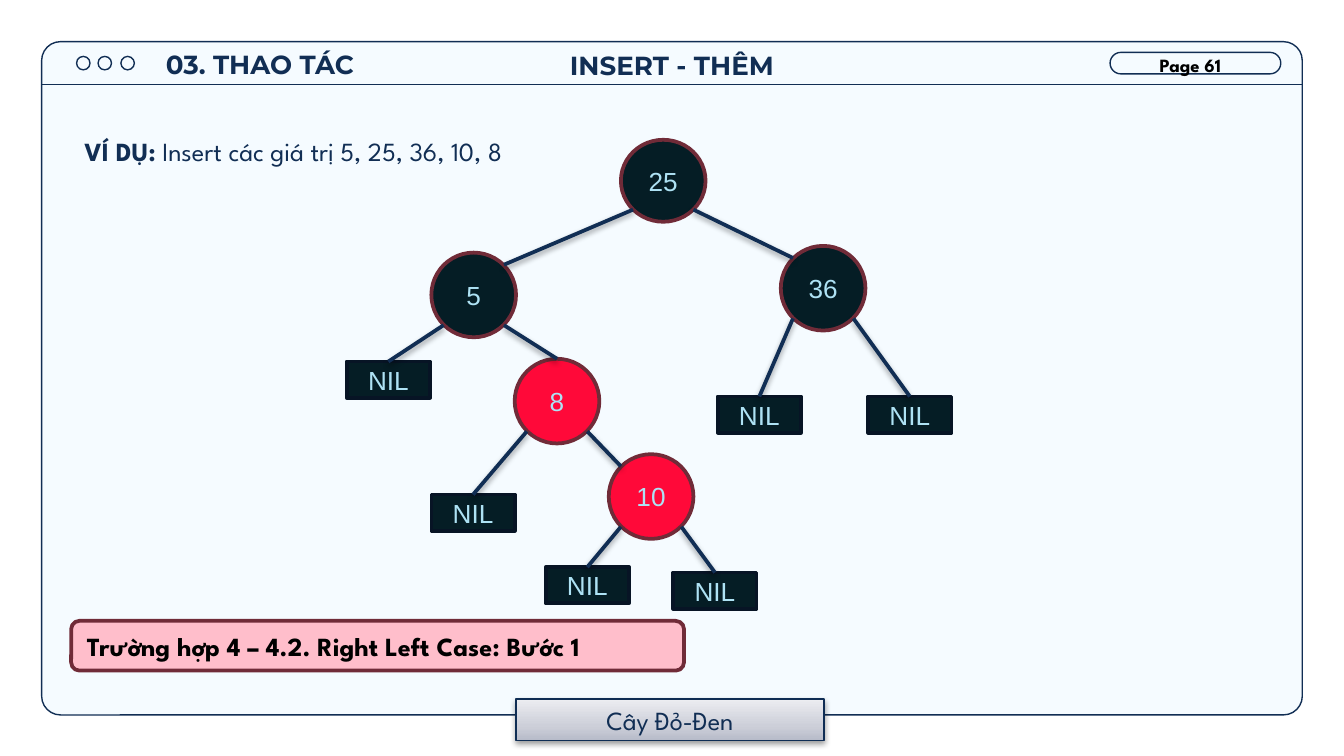
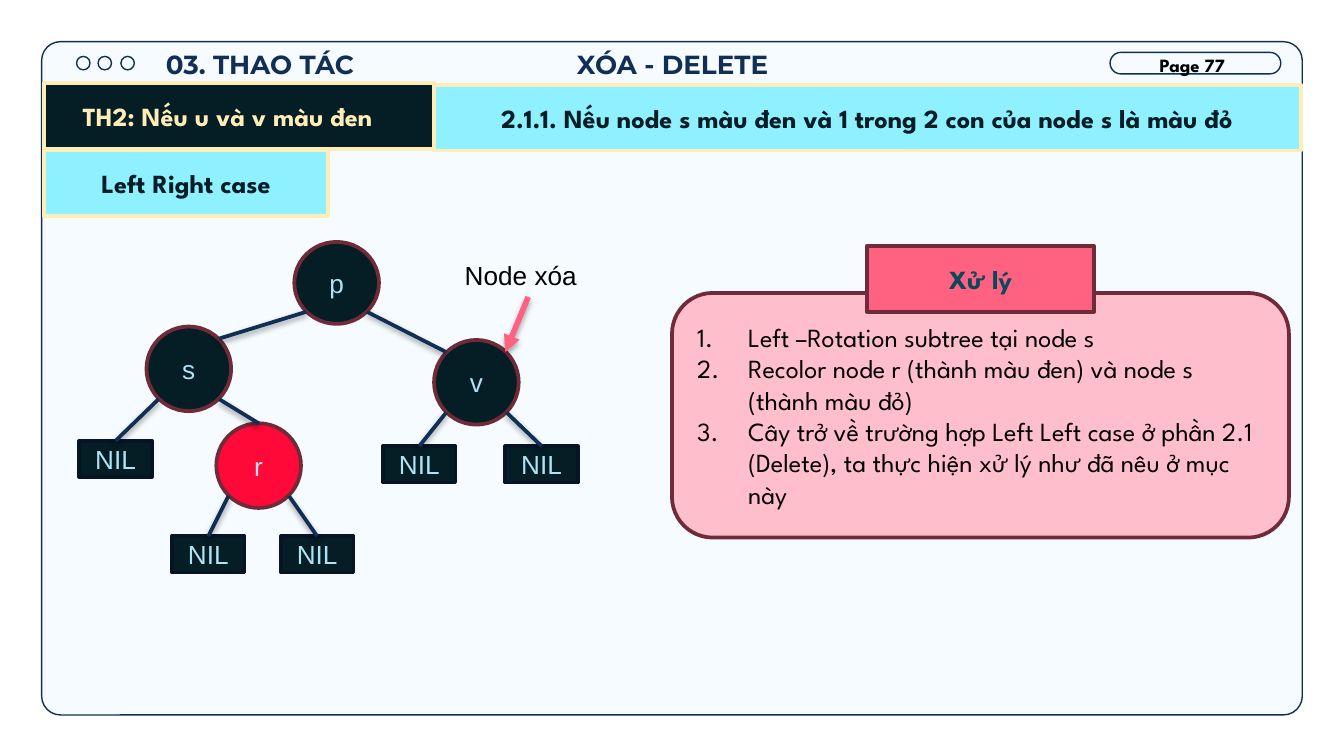
from copy import deepcopy
from math import sqrt

from lxml import etree
from pptx import Presentation
from pptx.dml.color import RGBColor
from pptx.enum.shapes import MSO_CONNECTOR, MSO_SHAPE
from pptx.enum.text import MSO_ANCHOR, PP_ALIGN
from pptx.oxml.ns import qn
from pptx.util import Emu, Pt

PX = 9144
SLIDE_WIDTH = 1000

RECT = MSO_SHAPE.RECTANGLE
ROUND_RECT = MSO_SHAPE.ROUNDED_RECTANGLE
OVAL = MSO_SHAPE.OVAL
NODE_SHAPE = MSO_SHAPE.FLOWCHART_CONNECTOR
STRAIGHT = MSO_CONNECTOR.STRAIGHT
LEFT, CENTER = PP_ALIGN.LEFT, PP_ALIGN.CENTER
TOP, MIDDLE = MSO_ANCHOR.TOP, MSO_ANCHOR.MIDDLE

NAVY = RGBColor(0x11, 0x2E, 0x54)
FOOTER_LINE = RGBColor(0x0F, 0x2D, 0x54)
PALE = RGBColor(0xF5, 0xFB, 0xFF)
INK = RGBColor(0x05, 0x1D, 0x25)
LEAF_LINE = RGBColor(0x07, 0x14, 0x25)
NODE_TEXT = RGBColor(0xAE, 0xE2, 0xF4)
MAROON = RGBColor(0x70, 0x2B, 0x38)
RED = RGBColor(0xFF, 0x09, 0x39)
PINK = RGBColor(0xFF, 0xBE, 0xCB)
ROSE = RGBColor(0xFF, 0x61, 0x80)
CREAM = RGBColor(0xFF, 0xED, 0xB8)
CYAN = RGBColor(0x8F, 0xF0, 0xFF)
TEAL = RGBColor(0x0C, 0x48, 0x5C)
BLACK = RGBColor(0, 0, 0)
FOOTER_STOPS = [
    (0, RGBColor(0xB7, 0xBB, 0xC9)),
    (0.35, RGBColor(0xCD, 0xCF, 0xD9)),
    (1, RGBColor(0xEC, 0xED, 0xF1)),
]

BODY, HEADING, LABEL = "League Spartan", "Montserrat", "Arial"
NODE_WIDTH, LEAF_HEIGHT = 63, 27

SECTION = "03. THAO TÁC"
INSERT_TITLE = ("INSERT - THÊM", (305, 27, 390, 38))
DELETE_TITLE = ("XÓA - DELETE", (79, 26, 843, 39))
EXAMPLE = [("VÍ DỤ:", True), (" Insert các giá trị 5, 25, 36, 10, 8", False)]
FOOTER = "Cây Đỏ-Đen"
CASE = "Trường hợp 4 – 4.2. Right Left Case: Bước 1"
BANNERS = [
    ("TH2: Nếu u và v màu đen", (33, 62, 290, 49), INK, CREAM, 17),
    ("2.1.1. Nếu node s màu đen và 1 trong 2 con của node s là màu đỏ",
     (323, 63, 645, 49), CYAN, INK, 0),
    ("Left Right case", (33, 112, 211, 49), CYAN, INK, 0),
]
HANDLING = "Xử lý"
STEPS = [
    "Left –Rotation subtree tại node s",
    "Recolor node r (thành màu đen) và node s (thành màu đỏ)",
    "Cây trở về trường hợp Left Left case ở phần 2.1 (Delete), "
    "ta thực hiện xử lý như đã nêu ở mục này",
]

INSERT_TREE = {
    "leaf_width": 62,
    "nodes": [
        ("25", 462, 104, 61, INK),
        ("5", 321, 188, 63, INK),
        ("36", 581, 183, 63, INK),
        ("8", 383, 267, 63, RED),
        ("10", 453, 338, 63, RED),
    ],
    "branches": [
        ("25", "left", "5", "corner"),
        ("25", "right", "36", "corner"),
        ("5", "right", "8", "top"),
        ("8", "right", "10", "corner"),
    ],
    "leaves": [
        ("5", "left", 258, 269),
        ("8", "left", 321, 368),
        ("10", "left", 406, 422),
        ("10", "right", 501, 426),
        ("36", "left", 534, 295),
        ("36", "right", 646, 295),
    ],
}
DELETE_TREE = {
    "leaf_width": 54,
    "nodes": [
        ("p", 219, 180, 61, INK),
        ("s", 109, 243, 63, INK),
        ("v", 323, 253, 63, INK),
        ("r", 161, 315, 63, RED),
    ],
    "branches": [
        ("p", "left", "s", "corner"),
        ("p", "right", "v", "corner"),
        ("s", "right", "r", "top"),
    ],
    "leaves": [
        ("s", "left", 59, 328),
        ("r", "left", 128, 399),
        ("r", "right", 209, 399),
        ("v", "left", 285, 332),
        ("v", "right", 376, 332),
    ],
}


def px(*lengths):
    return [Emu(length * PX) for length in lengths]


def style_paragraph(paragraph, color, font, size, bold, align):
    paragraph.alignment = align
    paragraph.font.name = font
    paragraph.font.size = Pt(size)
    paragraph.font.bold = bold
    paragraph.font.color.rgb = color


def write(shape, text, color, font=BODY, size=14, bold=False, align=CENTER, anchor=MIDDLE):
    frame = shape.text_frame
    frame.word_wrap = True
    frame.vertical_anchor = anchor
    frame.text = text
    for paragraph in frame.paragraphs:
        style_paragraph(paragraph, color, font, size, bold, align)


def add_box(slide, kind, place, fill, line, width=2, corner=None):
    shape = slide.shapes.add_shape(kind, *px(*place))
    shape.shadow.inherit = False
    if fill is None:
        shape.fill.background()
    else:
        shape.fill.solid()
        shape.fill.fore_color.rgb = fill
    shape.line.color.rgb = line
    shape.line.width = Pt(width)
    if corner is not None:
        shape.adjustments[0] = corner
    return shape


def add_label(slide, place, text, color, margin=10, **style):
    box = slide.shapes.add_textbox(*px(*place))
    write(box, text, color, anchor=TOP, **style)
    box.text_frame.margin_top = box.text_frame.margin_bottom = Emu(margin * PX)
    return box


def add_shadow(effects, distance=20000, alpha=38000):
    shadow = etree.SubElement(effects, qn("a:outerShdw"), blurRad="40000",
                              dist=str(distance), dir="5400000", rotWithShape="0")
    color = etree.SubElement(shadow, qn("a:srgbClr"), val="000000")
    etree.SubElement(color, qn("a:alpha"), val=str(alpha))


def add_line(slide, start, end, color=NAVY, width=2):
    line = slide.shapes.add_connector(STRAIGHT, *px(*start, *end))
    line.line.color.rgb = color
    line.line.width = Pt(width)
    effects = etree.SubElement(line._element.spPr, qn("a:effectLst"))
    return line, effects


def rim_point(place, side, lower):
    left, top, width, height = place
    across = -1 if side == "left" else 1
    down = 1 if lower else -1
    return (round(left + width / 2 * (1 + across / sqrt(2))),
            round(top + height / 2 * (1 + down / sqrt(2))))


def add_branch(slide, parent, side, child, child_place, ending):
    start = rim_point(parent, side, True)
    opposite = "right" if side == "left" else "left"
    line, effects = add_line(slide, start, rim_point(child_place, opposite, False))
    if ending == "top":
        line.end_connect(child, 0)
    add_shadow(effects)


def add_tree(slide, tree):
    places, circles = {}, {}
    for name, left, top, height, fill in tree["nodes"]:
        places[name] = (left, top, NODE_WIDTH, height)
        circles[name] = add_box(slide, NODE_SHAPE, places[name], fill, MAROON)
        write(circles[name], name, NODE_TEXT, LABEL)
    for parent, side, child, ending in tree["branches"]:
        add_branch(slide, places[parent], side, circles[child], places[child], ending)
    for parent, side, left, top in tree["leaves"]:
        place = (left, top, tree["leaf_width"], LEAF_HEIGHT)
        leaf = add_box(slide, RECT, place, INK, LEAF_LINE)
        write(leaf, "NIL", NODE_TEXT, LABEL)
        add_branch(slide, places[parent], side, leaf, place, "top")


def add_window(presentation, title, page):
    slide = presentation.slides.add_slide(presentation.slide_layouts[6])
    add_box(slide, ROUND_RECT, (31, 31, 938, 501), PALE, NAVY, 0.75, 0.028)
    for left in (57, 73, 90):
        add_box(slide, OVAL, (left, 42, 10, 10), None, NAVY, 0.75)
    add_box(slide, ROUND_RECT, (826, 39, 127, 16), None, NAVY, 0.75, 0.5)
    add_line(slide, (31, 63), (969, 63), width=0.75)
    add_label(slide, (107, 26, 173, 46), SECTION, NAVY, font=HEADING, bold=True)
    text, place = title
    add_label(slide, place, text, NAVY, font=HEADING, bold=True)
    add_label(slide, (853, 35, 75, 27), f"Page {page}", BLACK, margin=5,
              size=10, bold=True, align=LEFT)
    return slide


def add_footer(slide):
    footer = add_box(slide, RECT, (384, 520, 229, 31), PALE, FOOTER_LINE, 0.75)
    footer.fill.gradient()
    footer.fill.gradient_angle = 90
    properties = footer._element.spPr
    stop_list = properties.find(".//" + qn("a:gsLst"))
    stop_list.insert(1, deepcopy(stop_list[0]))
    for stop, (position, color) in zip(footer.fill.gradient_stops, FOOTER_STOPS):
        stop.position = position
        stop.color.rgb = color
    add_shadow(properties.find(qn("a:effectLst")))
    write(footer, FOOTER, NAVY)


def number_paragraph(paragraph):
    properties = paragraph._p.get_or_add_pPr()
    properties.set("marL", str(38 * PX))
    properties.set("indent", str(-38 * PX))
    color = etree.SubElement(properties, qn("a:buClr"))
    etree.SubElement(color, qn("a:srgbClr"), val=str(BLACK))
    etree.SubElement(properties, qn("a:buFont"), typeface="+mj-lt")
    etree.SubElement(properties, qn("a:buAutoNum"), type="arabicPeriod")


def add_handling(slide):
    panel = add_box(slide, ROUND_RECT, (500, 218, 459, 182), PINK, MAROON)
    frame = panel.text_frame
    frame.text = "\n".join(STEPS)
    frame.word_wrap = True
    frame.vertical_anchor = MIDDLE
    for paragraph in frame.paragraphs:
        number_paragraph(paragraph)
        style_paragraph(paragraph, BLACK, BODY, 14, False, LEFT)
    heading = add_box(slide, RECT, (645, 183, 169, 49), ROSE, MAROON)
    write(heading, HANDLING, TEAL, bold=True)


def build_insert(presentation):
    slide = add_window(presentation, INSERT_TITLE, 61)
    example = add_label(slide, (53, 79, 906, 54), "", NAVY, align=LEFT)
    paragraph = example.text_frame.paragraphs[0]
    paragraph.line_spacing = 1.5
    for text, bold in EXAMPLE:
        run = paragraph.add_run()
        run.text = text
        run.font.bold = bold
    add_tree(slide, INSERT_TREE)
    add_footer(slide)
    case = add_box(slide, ROUND_RECT, (53, 462, 456, 37), PINK, MAROON)
    write(case, CASE, BLACK, bold=True, align=LEFT)


def build_delete(presentation):
    slide = add_window(presentation, DELETE_TITLE, 77)
    for text, place, fill, color, extra_margin in BANNERS:
        banner = add_box(slide, RECT, place, fill, CREAM)
        write(banner, text, color, bold=True)
        banner.text_frame.margin_right = Emu((10 + extra_margin) * PX)
    add_tree(slide, DELETE_TREE)
    arrow, effects = add_line(slide, (393, 221), (376, 262), ROSE, 3)
    outline = arrow._element.spPr.find(qn("a:ln"))
    etree.SubElement(outline, qn("a:tailEnd"), type="triangle")
    add_shadow(effects, 23000, 35000)
    add_handling(slide)
    add_label(slide, (336, 188, 114, 34), "Node xóa", BLACK, margin=5,
              font=LABEL, align=LEFT)


def main():
    presentation = Presentation()
    presentation.slide_width = Emu(SLIDE_WIDTH * PX)
    presentation.slide_height = Emu(SLIDE_WIDTH * PX * 9 // 16)
    build_insert(presentation)
    build_delete(presentation)
    presentation.save("out.pptx")


if __name__ == "__main__":
    main()
